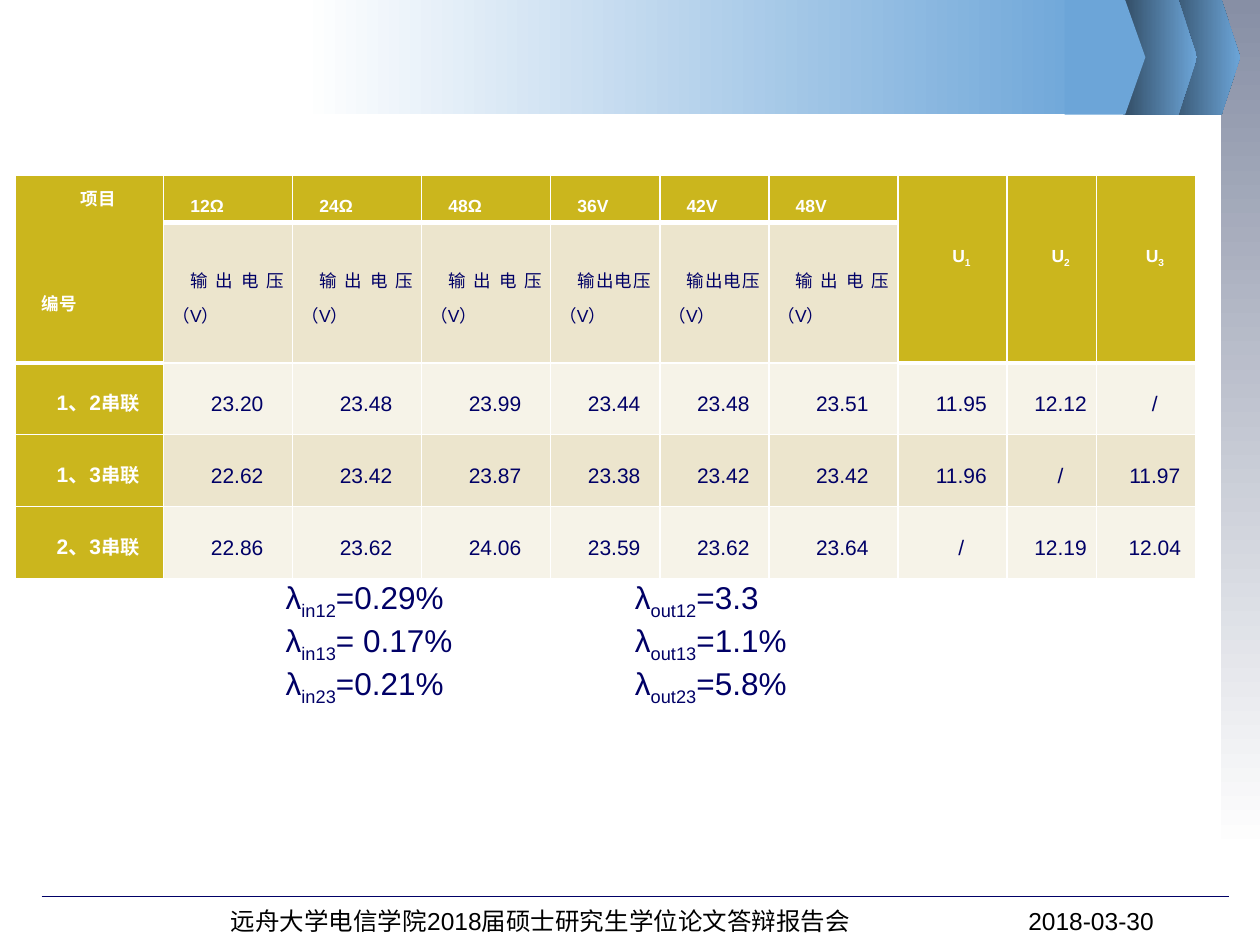
import pptx
import pptx.util
import pptx.dml.color
import pptx.enum.shapes
import pptx.enum.text
import pptx.oxml
import pptx.oxml.ns
from pptx.util import Cm, Pt

NAVY, WHITE, GOLD = "000066", "FFFFFF", "CBB61D"
BLUE, DARK_BLUE = "6CA5D8", "324C64"
BANDS = ("F6F3E8", "ECE5CD")
SHAPE = pptx.enum.shapes.MSO_SHAPE
ALIGN = pptx.enum.text.PP_ALIGN
MIDDLE = pptx.enum.text.MSO_ANCHOR.MIDDLE
NS = pptx.oxml.ns.nsdecls("a")


def rgb(value):
    return pptx.dml.color.RGBColor.from_string(value)


def add_text(p, text, size=12, color=NAVY, bold=False, font="Arial"):
    """Add text to a paragraph; parts between underscores become subscripts."""
    for i, part in enumerate(text.split("_")):
        if not part:
            continue
        r = p.add_run()
        r.text = part
        r.font.size, r.font.name, r.font.bold = Pt(size), font, bold
        r.font.color.rgb = rgb(color)
        if i % 2:
            r._r.get_or_add_rPr().set("baseline", "-25000")


def set_tab(p, position):
    p._p.get_or_add_pPr().append(pptx.oxml.parse_xml(
        f'<a:tabLst {NS}><a:tab pos="{Cm(position)}" algn="l"/></a:tabLst>'))


def set_borders(cell, top=1, bottom=1):
    """Draw white borders; only the top and bottom widths vary."""
    tcPr = cell._tc.get_or_add_tcPr()
    widths = (("L", 1), ("R", 1), ("T", top), ("B", bottom))
    for i, (side, width) in enumerate(widths):
        tcPr.insert(i, pptx.oxml.parse_xml(
            f'<a:ln{side} {NS} w="{Pt(width)}"><a:solidFill>'
            f'<a:srgbClr val="{WHITE}"/></a:solidFill></a:ln{side}>'))


class Deck:
    def __init__(self):
        self.prs = pptx.Presentation()
        self.prs.slide_width, self.prs.slide_height = Cm(25.4), Cm(19.05)
        self.s = self.prs.slides.add_slide(self.prs.slide_layouts[6])

    def shape(self, kind, x, y, w, h, colors, angle=0):
        """Add a borderless shape with a solid fill or a two-colour gradient."""
        sp = self.s.shapes.add_shape(kind, Cm(x), Cm(y), Cm(w), Cm(h))
        sp.shadow.inherit = False
        sp.line.fill.background()
        if len(colors) == 1:
            sp.fill.solid()
            sp.fill.fore_color.rgb = rgb(colors[0])
        else:
            sp.fill.gradient()
            sp.fill.gradient_angle = angle
            for stop, color in zip(sp.fill.gradient_stops, colors):
                stop.color.rgb = rgb(color)
        if kind == SHAPE.PENTAGON:
            sp.adjustments[0] = 0.25

    def line(self, x1, y1, x2, y2):
        cn = self.s.shapes.add_connector(
            pptx.enum.shapes.MSO_CONNECTOR.STRAIGHT, Cm(x1), Cm(y1), Cm(x2), Cm(y2))
        cn.line.color.rgb, cn.line.width = rgb(NAVY), Pt(0.75)
        cn._element.spPr.append(pptx.oxml.parse_xml(f"<a:effectLst {NS}/>"))

    def text(self, x, y, w, h, lines, tab, **fmt):
        """Add a text box whose lines share one tab stop."""
        tf = self.s.shapes.add_textbox(Cm(x), Cm(y), Cm(w), Cm(h)).text_frame
        tf.word_wrap = True
        for i, line in enumerate(lines):
            p = tf.add_paragraph() if i else tf.paragraphs[0]
            set_tab(p, tab)
            add_text(p, line, **fmt)

    def table(self, x, y, widths, heights):
        frame = self.s.shapes.add_table(len(heights), len(widths), Cm(x), Cm(y),
                                        Cm(sum(widths)), Cm(sum(heights)))
        for col, w in zip(frame.table.columns, widths):
            col.width = Cm(w)
        for row, h in zip(frame.table.rows, heights):
            row.height = Cm(h)
        return frame.table

    def cell(self, cell, fill, top=1, bottom=1):
        """Style a cell and return its first paragraph."""
        cell.fill.solid()
        cell.fill.fore_color.rgb = rgb(fill)
        set_borders(cell, top, bottom)
        cell.margin_left = cell.margin_right = Cm(0.18)
        cell.margin_top = cell.margin_bottom = 0
        cell.vertical_anchor = MIDDLE
        return self.cell_paragraph(cell.text_frame.paragraphs[0])

    def cell_paragraph(self, p, align=ALIGN.CENTER):
        p.alignment, p.line_spacing = align, Pt(20)
        p._p.get_or_add_pPr().set("indent", str(Cm(0.36)))
        return p


def add_results(deck):
    wide, mid = 2.6, 2.2
    table = deck.table(0.3, 3.53,
                       [3, wide, wide, wide, mid, mid, wide, mid, 1.8, 2],
                       [0.96, 1.96, 1.45, 1.45, 1.45])
    head = dict(size=10, color=WHITE, bold=True)

    for col in (0, 7, 8, 9):
        for row in (0, 1):
            deck.cell(table.cell(row, col), GOLD, bottom=3)
        table.cell(0, col).merge(table.cell(1, col))

    corner = table.cell(0, 0)
    corner.vertical_anchor = pptx.enum.text.MSO_ANCHOR.TOP
    add_text(corner.text_frame.paragraphs[0], "项目", **head)
    p = deck.cell_paragraph(corner.text_frame.add_paragraph(), ALIGN.JUSTIFY)
    p.space_before = Pt(40)
    add_text(p, "编号", **head)

    for col, label in enumerate(("U_1_", "U_2_", "U_3_"), 7):
        cell = table.cell(0, col)
        cell.margin_bottom = Pt(20)
        add_text(cell.text_frame.paragraphs[0], label, **head)

    for col, load in enumerate(("12Ω", "24Ω", "48Ω", "36V", "42V", "48V"), 1):
        p = deck.cell(table.cell(0, col), GOLD, bottom=3)
        p.alignment = ALIGN.JUSTIFY
        add_text(p, load, **head)
        p = deck.cell(table.cell(1, col), BANDS[1], top=3)
        p.alignment = ALIGN.JUSTIFY
        add_text(p, "输出电压（V）", size=10)

    readings = {
        "1、2": "23.20 23.48 23.99 23.44 23.48 23.51 11.95 12.12 /",
        "1、3": "22.62 23.42 23.87 23.38 23.42 23.42 11.96 / 11.97",
        "2、3": "22.86 23.62 24.06 23.59 23.62 23.64 / 12.19 12.04",
    }
    for row, (pair, values) in enumerate(readings.items(), 2):
        def top(col):
            return 3 if row == 2 and col in (0, 7, 8, 9) else 1

        p = deck.cell(table.cell(row, 0), GOLD, top=top(0))
        add_text(p, pair, color=WHITE, bold=True)
        add_text(p, "串联", size=11, color=WHITE, bold=True)
        for col, value in enumerate(values.split(), 1):
            add_text(deck.cell(table.cell(row, col), BANDS[row % 2], top=top(col)), value)


def main():
    deck = Deck()
    deck.shape(SHAPE.RECTANGLE, 24.61, 0, 0.79, 17.2, ("878FA5", WHITE), angle=270)
    deck.line(0.84, 18.08, 24.77, 18.08)
    for x in (23.5, 22.63):
        deck.shape(SHAPE.PENTAGON, x, 0, 1.5, 2.31, (DARK_BLUE, BLUE))
    deck.shape(SHAPE.RECTANGLE, 6.1, 0, 16.03, 2.31, (WHITE, BLUE))
    deck.shape(SHAPE.PENTAGON, 21.46, 0, 1.63, 2.31, (BLUE,))
    deck.text(4.4, 18.14, 20, 0.86,
              ["远舟大学电信学院2018届硕士研究生学位论文答辩报告会\t2018-03-30"],
              tab=16.08, size=14, color="000000")
    add_results(deck)
    deck.text(5.51, 11.53, 12.7, 2.57,
              ["λ_in12_=0.29%\tλ_out12_=3.3",
               "λ_in13_= 0.17%\tλ_out13_=1.1%",
               "λ_in23_=0.21%\tλ_out23_=5.8%"], tab=7.04, size=18)
    deck.prs.save("out.pptx")


if __name__ == "__main__":
    main()
